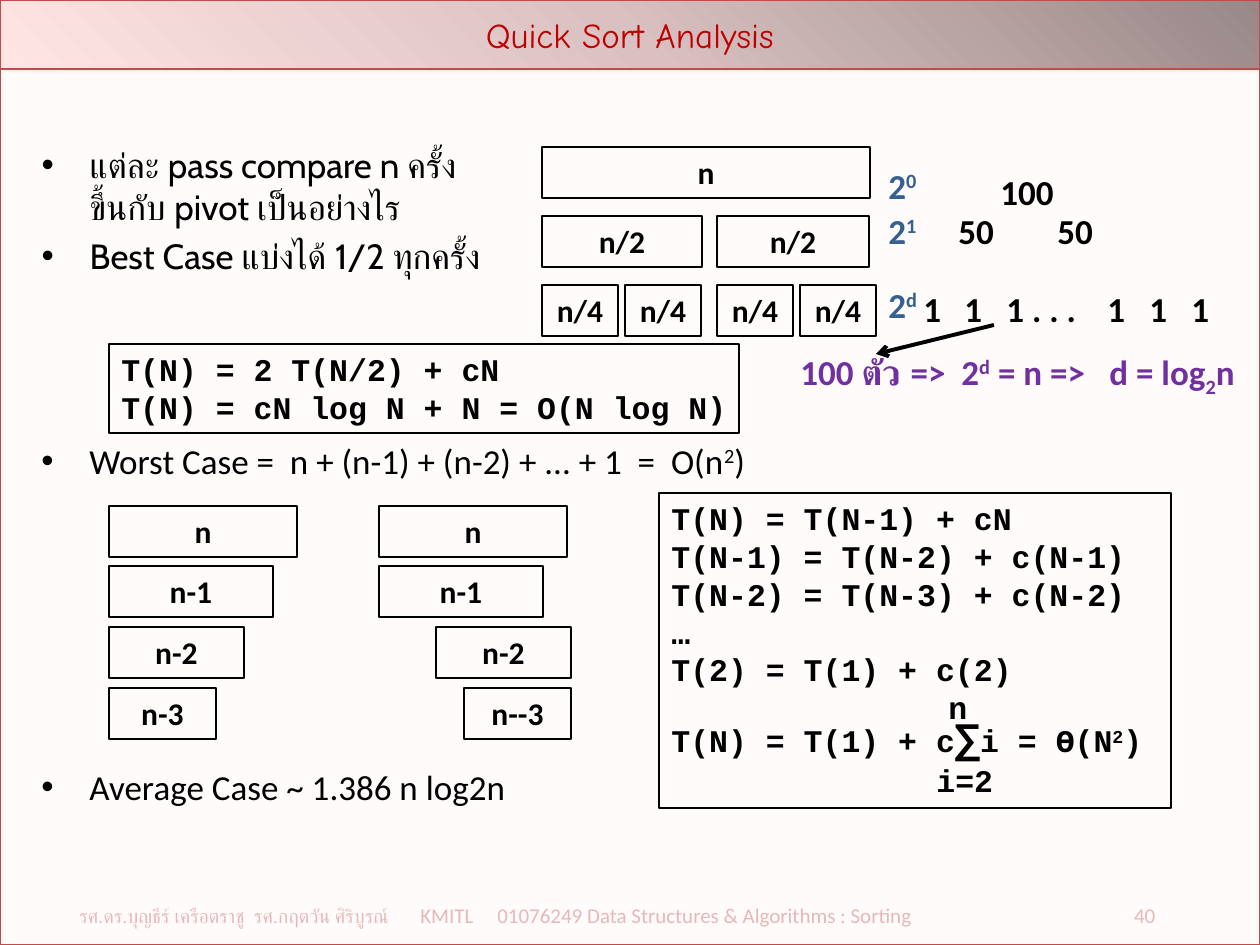
from lxml import etree
from pptx import Presentation
from pptx.dml.color import RGBColor
from pptx.enum.shapes import MSO_CONNECTOR, MSO_SHAPE
from pptx.enum.text import MSO_ANCHOR, MSO_AUTO_SIZE, PP_ALIGN
from pptx.oxml.ns import qn
from pptx.util import Pt

RECT, LINE = MSO_SHAPE.RECTANGLE, MSO_CONNECTOR.STRAIGHT
TOP, MIDDLE, FIXED = MSO_ANCHOR.TOP, MSO_ANCHOR.MIDDLE, MSO_AUTO_SIZE.NONE
LEFT, CENTER = PP_ALIGN.LEFT, PP_ALIGN.CENTER
SCALE = 914400 / 126  # EMU per px

COLORS = {"ink": "000000", "panel": "FFFBFB", "edge": "BF4C48", "title": "C00000",
          "foot": "E6B9B8", "power": "376092", "result": "7030A0"}
FADE = [(0, "988887"), (50, "D8C1C0"), (100, "FFE6E5")]
SUP, SUB = 30000, -25000

# Content: a paragraph is a string, or a list of runs (text, options)
TITLE = "Quick Sort Analysis"
BEST = ["แต่ละ pass compare n ครั้ง \vขึ้นกับ pivot เป็นอย่างไร",
        "Best Case แบ่งได้ 1/2 ทุกครั้ง"]
WORST = [("Worst Case =  n + (n-1) + (n-2) + ... + 1  =  O(n", {}),
         ("2", {"base": SUP}), (")", {})]
AVERAGE = "Average Case ~ 1.386 n log2n"
FOOT = [("รศ.ดร.บุญธีร์ เครือตราชู  รศ.กฤตวัน ศิริบูรณ์", {"size": 11, "face": "Roboto"}),
        ("\tKMITL\t01076249 Data Structures & Algorithms : Sorting\t40", {})]
HALVES = [("n", [(542, 328)]),
          ("n/2", [(542, 160), (717, 152)]),
          ("n/4", [(542, 76), (625, 76), (717, 76), (800, 76)])]
# label in left stack, label in right stack, width, left of right box
SHRINK = [("n", "n", 188, 379), ("n-1", "n-1", 164, 379),
          ("n-2", "n-2", 135, 436), ("n-3", "n--3", 107, 464)]
COUNTS = [("100", 988, 164), ("50", 946, 203), ("50", 1045, 203)]
POWERS = [("0", 158), ("1", 203), ("d", 277)]
LEAVES = "1\t1\t1 . . .\t1\t1\t1"
DEPTH = [("100 ตัว =>  2", {}), ("d", {"base": SUP}), (" = n =>\td = log", {}),
         ("2", {"base": SUB}), ("n", {})]
BEST_CODE = ["T(N) = 2 T(N/2) + cN", "T(N) = cN log N + N = O(N log N)"]
WORST_CODE = ["T(N) = T(N-1) + cN", "T(N-1) = T(N-2) + c(N-1)",
              "T(N-2) = T(N-3) + c(N-2)", "…", "T(2) = T(1) + c(2)", "n",
              [("T(N) = T(1) + c", {}), ("∑", {"size": 24}), ("i = Ө(N", {}),
               ("2", {"base": SUP}), (")", {})], "i=2"]


def px(n):
    return round(n * SCALE)


def rgb(name):
    return RGBColor.from_string(COLORS[name])


def place(shape, *box):
    shape.left, shape.top, shape.width, shape.height = map(px, box)


def write(shape, paras, size=20, face="Calibri", color="ink", bold=False,
          align=LEFT, anchor=TOP, bullet=False, tabs=()):
    frame = shape.text_frame
    frame.word_wrap, frame.auto_size = True, FIXED
    frame.vertical_anchor = anchor
    if align == LEFT:
        frame.margin_right = 0
    for i, para in enumerate(paras):
        p = frame.add_paragraph() if i else frame.paragraphs[0]
        props = p._p.get_or_add_pPr()
        if bullet:
            props.set("marL", str(px(48)))
            props.set("indent", str(px(-48)))
            etree.SubElement(props, qn("a:buFont"), typeface="Arial")
            etree.SubElement(props, qn("a:buChar"), char="•")
        if tabs:
            stops = etree.SubElement(props, qn("a:tabLst"))
            for pos, kind in tabs:
                etree.SubElement(stops, qn("a:tab"), pos=str(px(pos)), algn=kind)
        p.alignment = align
        p.space_before = Pt(4 if bullet and i else 0)
        p.font.size, p.font.name, p.font.bold = Pt(size), face, bold
        p.font.color.rgb = rgb(color)
        if isinstance(para, str):
            p.text = para
            continue
        for text, opts in para:
            run = p.add_run()
            run.text = text
            if "size" in opts:
                run.font.size = Pt(opts["size"])
            if "face" in opts:
                run.font.name = opts["face"]
            if "base" in opts:
                run.font._element.set("baseline", str(opts["base"]))


def label(box, paras, **style):
    shape = slide.shapes.add_textbox(*map(px, box))
    write(shape, paras, **style)


def frame(box, fill=None, edge="ink"):
    shape = slide.shapes.add_shape(RECT, *map(px, box))
    shape.shadow.inherit = False
    if fill:
        shape.fill.solid()
        shape.fill.fore_color.rgb = rgb(fill)
    else:
        shape.fill.background()
    shape.line.color.rgb, shape.line.width = rgb(edge), Pt(0.75)
    return shape


def cell(text, x, y, w):
    write(frame((x, y, w, 51)), [text], size=18, bold=True, align=CENTER)


def code(box, lines):
    shape = frame(box)
    write(shape, lines, size=18, face="Courier New", bold=True)
    return shape.text_frame.paragraphs


def shade(shape, alpha, blur, dist, angle):
    shape.shadow.inherit = False
    effects = shape._element.spPr.find(qn("a:effectLst"))
    outer = etree.SubElement(effects, qn("a:outerShdw"), blurRad=str(Pt(blur)),
                             dist=str(Pt(dist)), dir=str(angle * 60000), rotWithShape="0")
    tone = etree.SubElement(outer, qn("a:srgbClr"), val=COLORS["ink"])
    etree.SubElement(tone, qn("a:alpha"), val=str(alpha * 1000))


deck = Presentation()
deck.slide_width, deck.slide_height = px(1260), px(945)
slide = deck.slides.add_slide(deck.slide_layouts[1])
title, body = slide.shapes.title, slide.placeholders[1]

# Panel behind everything, and footer
panel = frame((0, 69, 1260, 876), "panel", "edge")
shade(panel, 38, 3.1, 1.6, 90)
slide.shapes._spTree.insert(2, panel._element)
label((67, 896, 1131, 47), [FOOT], size=12, color="foot",
      tabs=[(341, "l"), (418, "l"), (1076, "r")])

# Title band
place(title, 0, 0, 1260, 69)
title.fill.gradient()
title.fill.gradient_angle = 225
stops = title._element.spPr.find(".//" + qn("a:gsLst"))
stops.clear()
for pos, tone in FADE:
    stop = etree.SubElement(stops, qn("a:gs"), pos=str(pos * 1000))
    etree.SubElement(stop, qn("a:srgbClr"), val=tone)
title.line.color.rgb, title.line.width = rgb("edge"), Pt(0.75)
shade(title, 40, 4, 3, 315)
write(title, [TITLE], face="Comic Neue", color="title", align=CENTER, anchor=MIDDLE)

# Bulleted cases
place(body, 29, 137, 532, 176)
write(body, BEST, face="Cabin", bullet=True)
label((29, 433, 955, 79), [WORST], bullet=True)
label((29, 759, 620, 79), [AVERAGE], bullet=True)

# Halving boxes of the best case
for row, (text, spans) in enumerate(HALVES):
    for x, w in spans:
        cell(text, x, 147 + 69 * row, w)

# Tree of counts and its depth
for text, x, y in COUNTS:
    label((x, y, 84, 55), [text], bold=True)
label((911, 281, 319, 55), [LEAVES], bold=True,
      tabs=[(n, "l") for n in (41, 83, 184, 226, 268)])
for power, y in POWERS:
    label((876, y, 55, 55), [[("2", {}), (power, {"base": SUP})]],
          color="power", bold=True)
label((788, 344, 472, 55), [DEPTH], color="result", bold=True, tabs=[(309, "l")])
arrow = slide.shapes.add_connector(LINE, px(994), px(325), px(876), px(354))
arrow.line.color.rgb, arrow.line.width = rgb("ink"), Pt(2.25)
etree.SubElement(arrow.line._get_or_add_ln(), qn("a:tailEnd"), type="arrow")
etree.SubElement(arrow._element.spPr, qn("a:effectLst"))

# Shrinking boxes of the worst case
for row, (near, far, w, x) in enumerate(SHRINK):
    y = 506 + 182 * row // 3
    cell(near, 109, y, w)
    cell(far, x, y, w)

# Recurrences; the limits of the sum are indented to sit around it
code((109, 344, 630, 89), BEST_CODE)
lines = code((659, 493, 512, 315), WORST_CODE)
for row, indent in ((5, 277), (7, 265)):
    lines[row]._p.get_or_add_pPr().set("marL", str(px(indent)))
lines[6].line_spacing = Pt(20)

deck.save("out.pptx")
